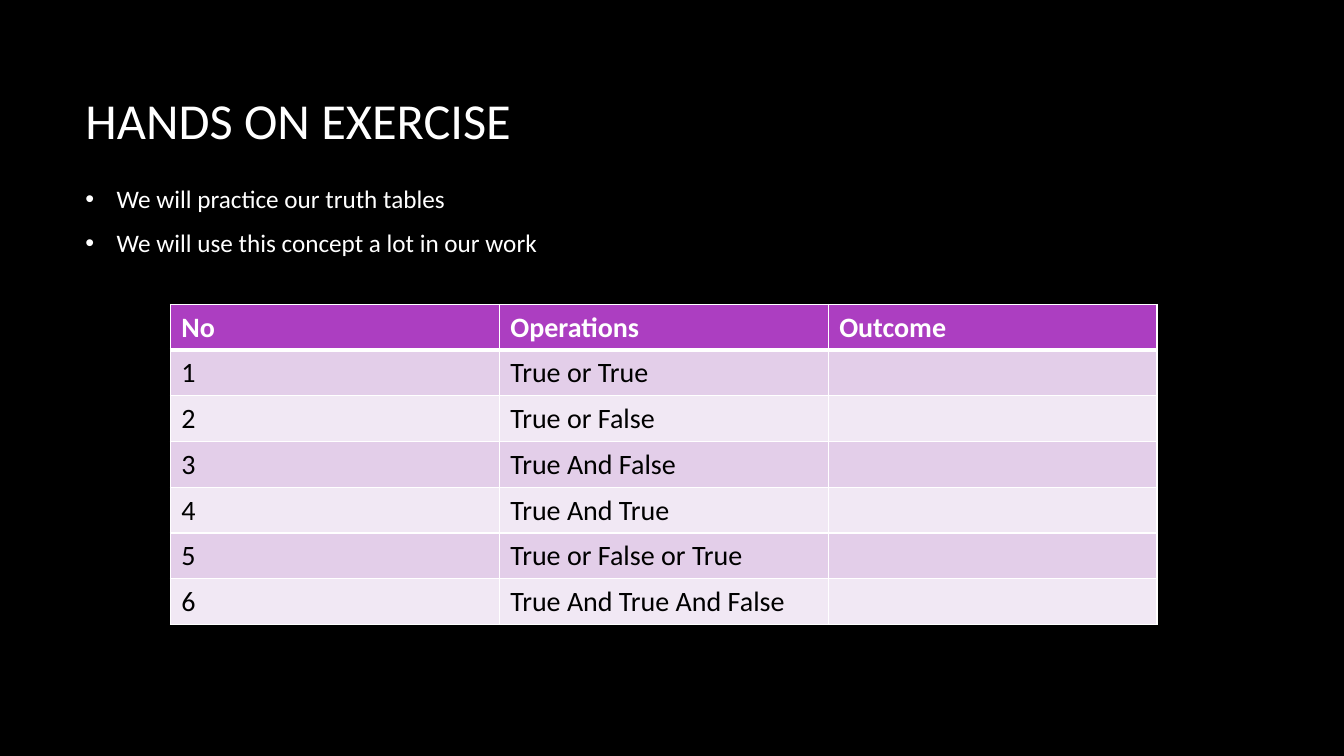
from dataclasses import dataclass
from lxml import etree
from pptx import Presentation, util as u
from pptx.dml.color import RGBColor
from pptx.enum import text as t
from pptx.oxml import ns

# Content
TITLE = ["HANDS ON EXERCISE"]
POINTS = ["We will practice our truth tables",
          "We will use this concept a lot in our work"]
HEAD = ("No", "Operations", "Outcome")
TASKS = ["True or True", "True or False", "True And False", "True And True",
         "True or False or True", "True And True And False"]
ROWS = [HEAD] + [(str(n), task, "") for n, task in enumerate(TASKS, 1)]


@dataclass(frozen=True)
class Theme:
    face: str = "Calibri"
    dark: str = "000000"
    light: str = "FFFFFF"
    head: str = "AC3EC1"
    bands: tuple = ("F1E8F4", "E3CEE9")
    title: int = 36
    body: int = 18
    cell: int = 20
    thin: int = 1
    thick: int = 3


LOOK = Theme()

# Grid: 160 columns by 90 rows on the slide
UNIT = u.Inches(1) / 12
TITLE_BOX = (9, 4.68, 133, 19.08)
POINT_BOX = (9, 19.44, 143, 13.68)
TABLE_AT = (20.28, 36.24)
COL, ROW = 39.16, 5.4


def grid(*nums):
    return [round(n * UNIT) for n in nums]


def put(obj, vals):
    for key, val in vals.items():
        setattr(obj, key, val)


def style(par, size, color, bold=False):
    for run in par.runs:
        put(run.font, {"name": LOOK.face, "size": u.Pt(size), "bold": bold})
        run.font.color.rgb = RGBColor.from_string(color)


def paint(fill, color):
    fill.solid()
    fill.fore_color.rgb = RGBColor.from_string(color)


def add(parent, tag, **attrs):
    return etree.SubElement(parent, ns.qn(tag), attrs)


def write(slide, box, lines, size):
    frame = slide.shapes.add_textbox(*grid(*box)).text_frame
    put(frame, {"word_wrap": True, "vertical_anchor": t.MSO_ANCHOR.MIDDLE})
    frame.text = "\n".join(lines)
    for par in frame.paragraphs:
        style(par, size, LOOK.light)
    return frame


def bullet(par):
    par.space_after = u.Pt(10)
    props = par._p.get_or_add_pPr()
    props.set("marL", str(u.Inches(0.31)))
    props.set("indent", str(-u.Inches(0.31)))
    add(add(props, "a:buClr"), "a:srgbClr", val=LOOK.light)
    add(props, "a:buFont", typeface="Arial")
    add(props, "a:buChar", char="•")


def border(cell, top, base):
    props = cell._tc.get_or_add_tcPr()
    sides = {"L": LOOK.thin, "R": LOOK.thin, "T": top, "B": base}
    for side, width in sides.items():
        line = add(props, "a:ln" + side, w=str(u.Pt(width)))
        add(add(line, "a:solidFill"), "a:srgbClr", val=LOOK.light)


def fill_cell(cell, words, row):
    first = row == 0
    put(cell, {"text": words,
               "margin_left": u.Inches(0.11), "margin_right": u.Inches(0.11),
               "margin_top": u.Inches(0.06), "margin_bottom": u.Inches(0.06)})
    style(cell.text_frame.paragraphs[0], LOOK.cell,
          LOOK.light if first else LOOK.dark, first)
    border(cell, LOOK.thick if row == 1 else LOOK.thin,
           LOOK.thick if first else LOOK.thin)
    paint(cell.fill, LOOK.head if first else LOOK.bands[row % 2])


def main():
    deck = Presentation()
    deck.slide_width, deck.slide_height = grid(160, 90)
    slide = deck.slides.add_slide(deck.slide_layouts[6])
    paint(slide.background.fill, LOOK.dark)

    # Title and points
    write(slide, TITLE_BOX, TITLE, LOOK.title)
    for par in write(slide, POINT_BOX, POINTS, LOOK.body).paragraphs:
        bullet(par)

    # Truth table
    size = (len(HEAD) * COL, len(ROWS) * ROW)
    table = slide.shapes.add_table(len(ROWS), len(HEAD),
                                   *grid(*TABLE_AT, *size)).table
    for r, row in enumerate(ROWS):
        for c, words in enumerate(row):
            fill_cell(table.cell(r, c), words, r)

    deck.save("out.pptx")


if __name__ == "__main__":
    main()
